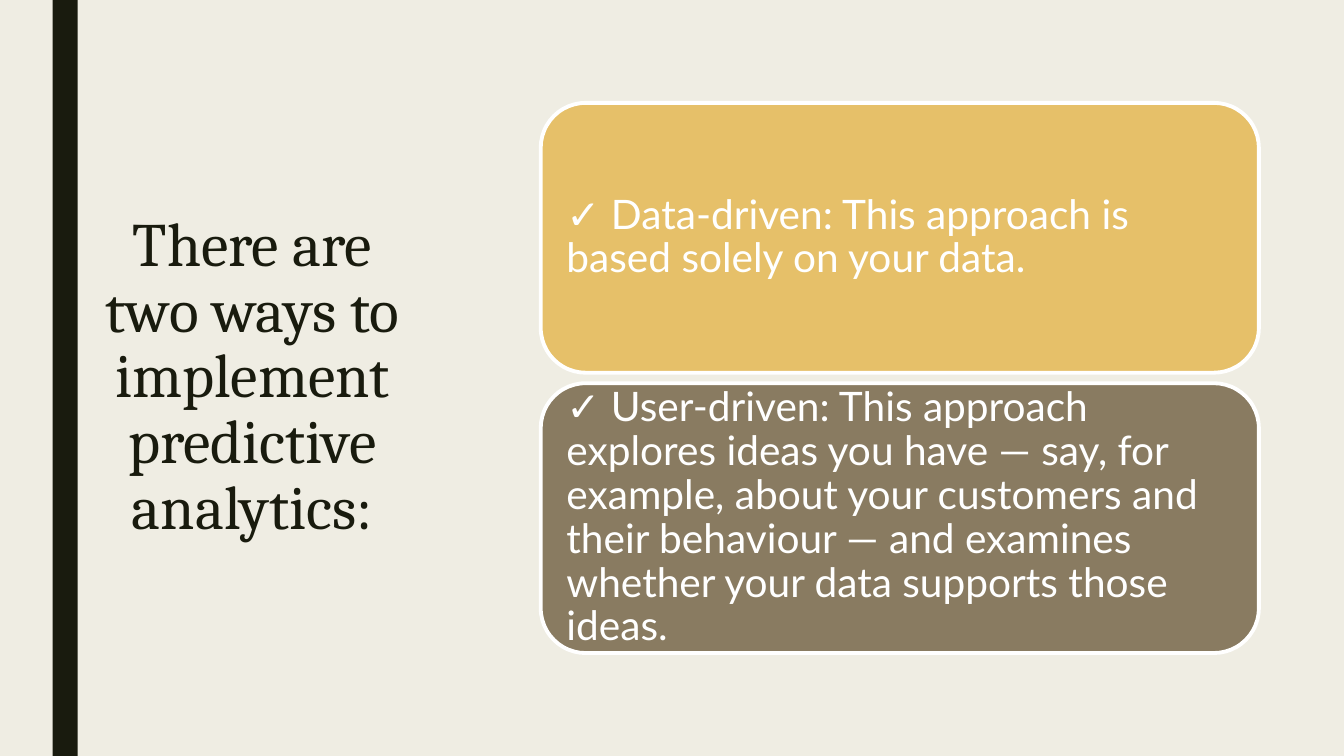
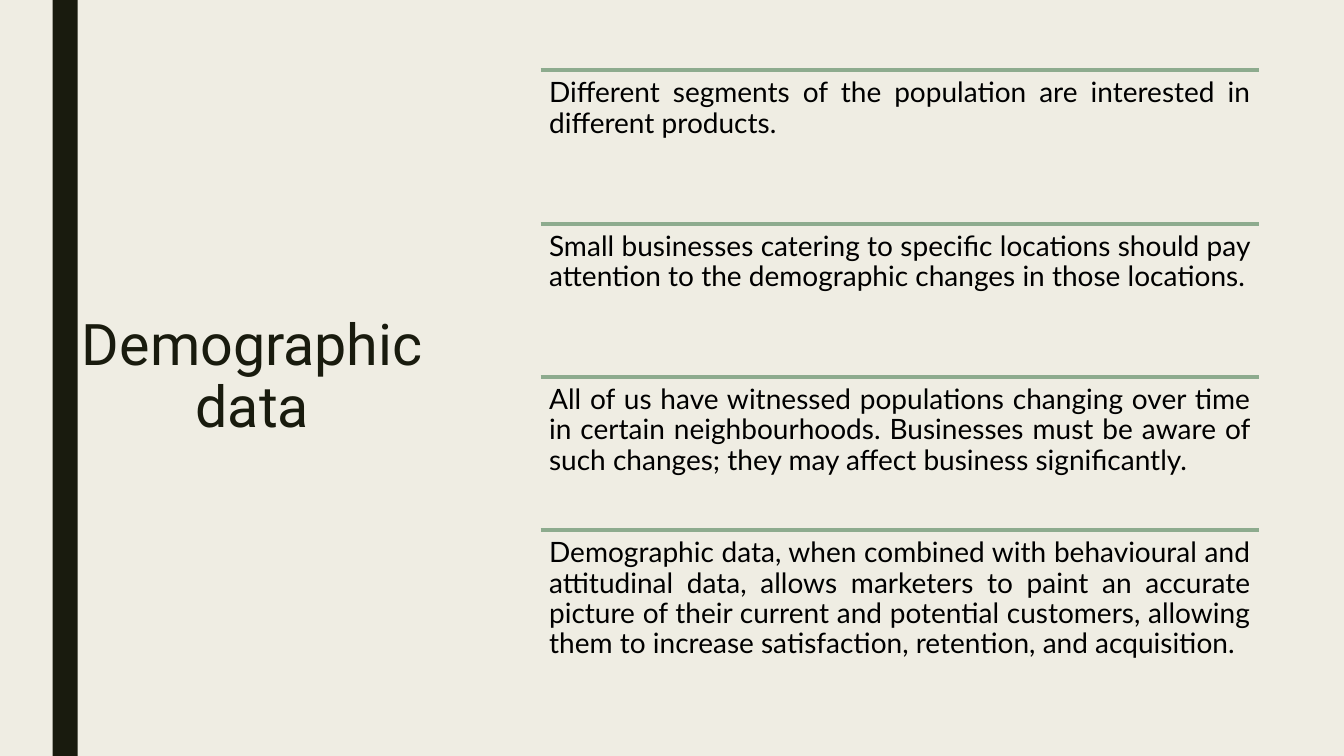
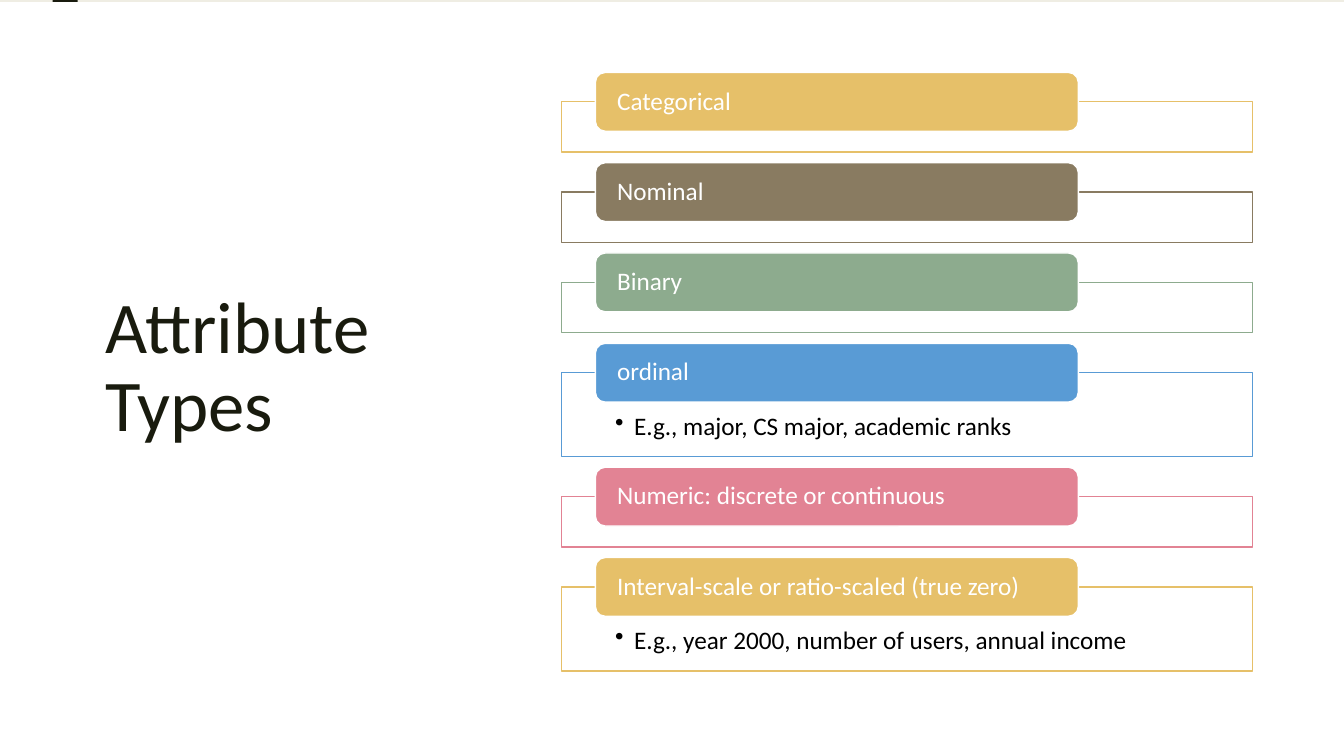
from dataclasses import dataclass

from lxml.etree import SubElement
from pptx import Presentation
from pptx.dml.color import RGBColor as Rgb
from pptx.enum.shapes import MSO_CONNECTOR as Conn, MSO_SHAPE as Kind
from pptx.enum.text import MSO_ANCHOR as Anchor, MSO_AUTO_SIZE as Auto, PP_ALIGN as Align
from pptx.oxml.ns import qn
from pptx.util import Pt

PX = 9525
WIDE, HIGH = 1280, 720
COLORS = {
    "paper": "EFEDE3", "ink": "191B0E", "white": "FFFFFF", "black": "000000",
    "gold": "E6C069", "brown": "897B61", "green": "8DAB8E",
    "blue": "599BD5", "rose": "E28394",
}


@dataclass(frozen=True)
class Box:
    left: int
    top: int
    width: int
    height: int

    def emu(self) -> tuple[int, ...]:
        return tuple(n * PX for n in (self.left, self.top, self.width, self.height))


@dataclass(frozen=True)
class Style:
    font: str
    size: int
    color: str
    align: Align = Align.LEFT
    anchor: Anchor = Anchor.MIDDLE
    pad: tuple[int, int, int, int] = (10, 5, 10, 5)
    space: float = 0.9
    bullet: bool = False


@dataclass(frozen=True)
class Card:
    text: str
    color: str


@dataclass(frozen=True)
class Row:
    label: str
    color: str
    detail: str = ""


CARDS = (
    Card("✓ Data-driven: This approach is based solely on your data.", "gold"),
    Card("✓ User-driven: This approach explores ideas you have — say, for example, "
         "about your customers and their behaviour — and examines whether your data "
         "supports those ideas.", "brown"),
)
FACTS = (
    "Different segments of the population are interested in different products.",
    "Small businesses catering to specific locations should pay attention to the "
    "demographic changes in those locations.",
    "All of us have witnessed populations changing over time in certain "
    "neighbourhoods. Businesses must be aware of such changes; they may affect "
    "business significantly.",
    "Demographic data, when combined with behavioural and attitudinal data, allows "
    "marketers to paint an accurate picture of their current and potential customers, "
    "allowing them to increase satisfaction, retention, and acquisition.",
)
ROWS = (
    Row("Categorical", "gold"),
    Row("Nominal", "brown"),
    Row("Binary", "green"),
    Row("ordinal", "blue", "E.g., major, CS major, academic ranks"),
    Row("Numeric: discrete or continuous", "rose"),
    Row("Interval-scale or ratio-scaled (true zero)", "gold",
        "E.g., year 2000, number of users, annual income"),
)

SIDE = Box(67, 67, 347, 586)
CARD = Style("Lato", 29, "white", pad=(12, 12, 12, 12))
FACT = Style("Lato", 20, "black", Align.JUSTIFY, Anchor.TOP, (8, 8, 8, 8))
PILL = Style("Calibri", 18, "white", pad=(18, 0, 18, 0))
DETAIL = Style("Calibri", 18, "black", anchor=Anchor.TOP, pad=(51, 39, 51, 13), bullet=True)


def tint(name: str) -> Rgb:
    return Rgb.from_string(COLORS[name])


def write(shape, text: str, style: Style) -> None:
    frame = shape.text_frame
    frame.word_wrap = True
    frame.auto_size = Auto.NONE
    frame.vertical_anchor = style.anchor
    (frame.margin_left, frame.margin_top,
     frame.margin_right, frame.margin_bottom) = (n * PX for n in style.pad)
    para = frame.paragraphs[0]
    para.alignment = style.align
    para.line_spacing = style.space
    if style.bullet:
        props = para._p.get_or_add_pPr()
        props.set("marL", str(18 * PX))
        props.set("indent", str(-18 * PX))
        SubElement(props, qn("a:buChar"), char="•")
    run = para.add_run()
    run.text = text
    run.font.name = style.font
    run.font.size = Pt(style.size)
    run.font.color.rgb = tint(style.color)


def draw(slide, kind: Kind, box: Box, fill: str, edge: str = "", width: float = 1):
    shape = slide.shapes.add_shape(kind, *box.emu())
    shape.shadow.inherit = False
    shape.fill.solid()
    shape.fill.fore_color.rgb = tint(fill)
    if edge:
        shape.line.color.rgb = tint(edge)
        shape.line.width = Pt(width)
    else:
        shape.line.fill.background()
    return shape


def fade(shape, share: int) -> None:
    """Set the opacity of a solid fill, in percent."""
    color = shape.element.spPr.find(qn("a:solidFill"))[0]
    SubElement(color, qn("a:alpha"), val=str(share * 1000))


def rule(slide, left: int, top: int, width: int) -> None:
    line = slide.shapes.add_connector(
        Conn.STRAIGHT, left * PX, top * PX, (left + width) * PX, top * PX)
    line.line.color.rgb = tint("green")
    line.line.width = Pt(2.75)
    SubElement(line.element.spPr, qn("a:effectLst"))


def start(deck, text: str, box: Box, style: Style):
    """Add a slide with its title set."""
    slide = deck.slides.add_slide(deck.slide_layouts[5])
    title = slide.shapes.title
    title.left, title.top, title.width, title.height = box.emu()
    write(title, text, style)
    return slide


def dress(deck, slide) -> None:
    """Give the master its background and the dark band."""
    master = deck.slide_master
    master.background.fill.solid()
    master.background.fill.fore_color.rgb = tint("paper")
    band = draw(slide, Kind.RECTANGLE, Box(50, 0, 24, HIGH), "ink")
    master.element.cSld.spTree.insert(2, band.element)


def ways(deck):
    slide = start(deck, "There are two ways to implement predictive analytics:", SIDE,
                  Style("Cambria", 44, "ink", Align.CENTER, space=0.89))
    for i, card in enumerate(CARDS):
        box = Box(515, 98 + 267 * i, 684, 257)
        shape = draw(slide, Kind.ROUNDED_RECTANGLE, box, card.color, "white", 2.75)
        write(shape, card.text, CARD)
    return slide


def people(deck) -> None:
    slide = start(deck, "Demographic data", SIDE,
                  Style("Roboto", 41, "ink", Align.CENTER, space=0.89))
    for i, fact in enumerate(FACTS):
        box = Box(515, 67 + 146 * i, 684, 146)
        rule(slide, box.left, box.top, box.width)
        write(slide.shapes.add_textbox(*box.emu()), fact, FACT)


def types(deck) -> None:
    slide = start(deck, "Attribute Types", Box(90, 59, 352, 585),
                  Style("Calibri", 52, "ink"))
    panel = draw(slide, Kind.RECTANGLE, Box(0, 2, WIDE, HIGH - 2), "white")
    slide.shapes.element.insert(2, panel.element)
    top = 97
    for row in ROWS:
        high = 80 if row.detail else 48
        frame = draw(slide, Kind.RECTANGLE, Box(535, top, 658, high), "white", row.color)
        fade(frame, 90)
        if row.detail:
            write(frame, row.detail, DETAIL)
        pill = draw(slide, Kind.ROUNDED_RECTANGLE, Box(567, top - 28, 460, 56),
                    row.color, "white")
        write(pill, row.label, PILL)
        top += high + 38


def main() -> None:
    deck = Presentation()
    deck.slide_width, deck.slide_height = WIDE * PX, HIGH * PX
    dress(deck, ways(deck))
    people(deck)
    types(deck)
    deck.save("out.pptx")


if __name__ == "__main__":
    main()
